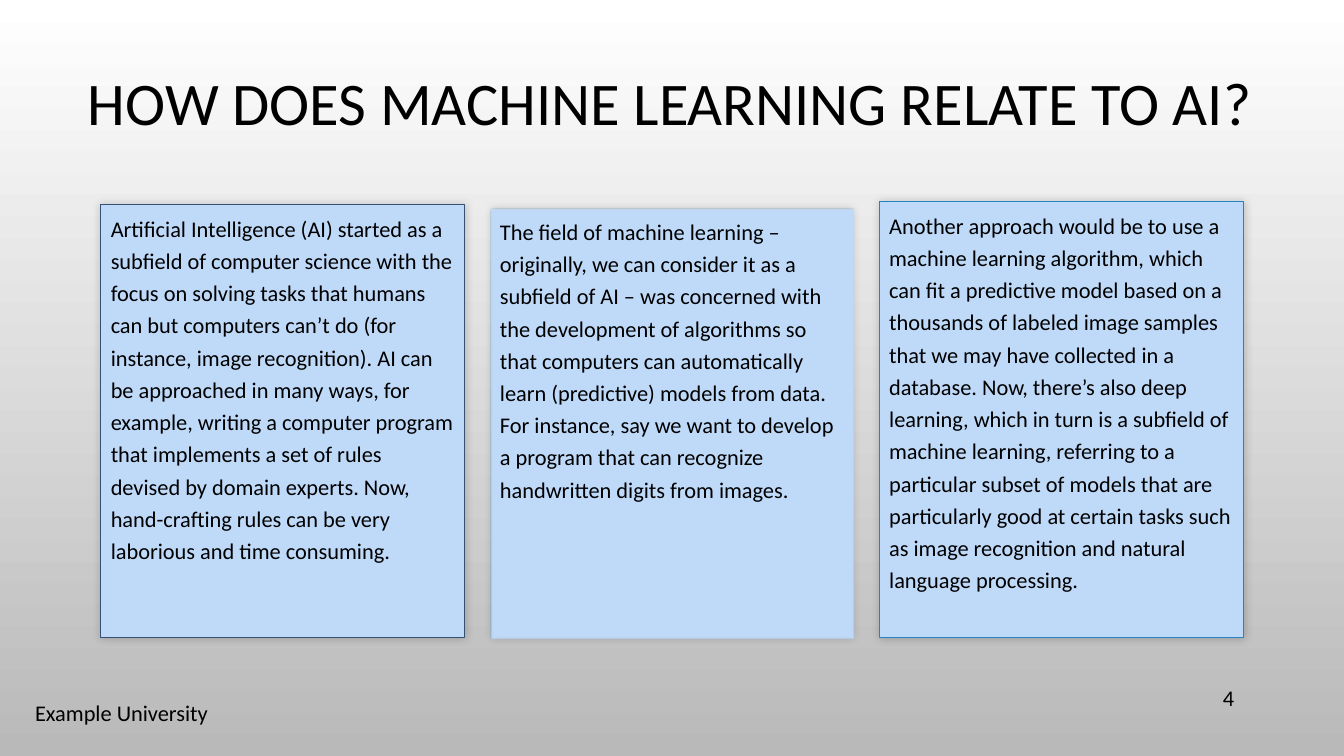
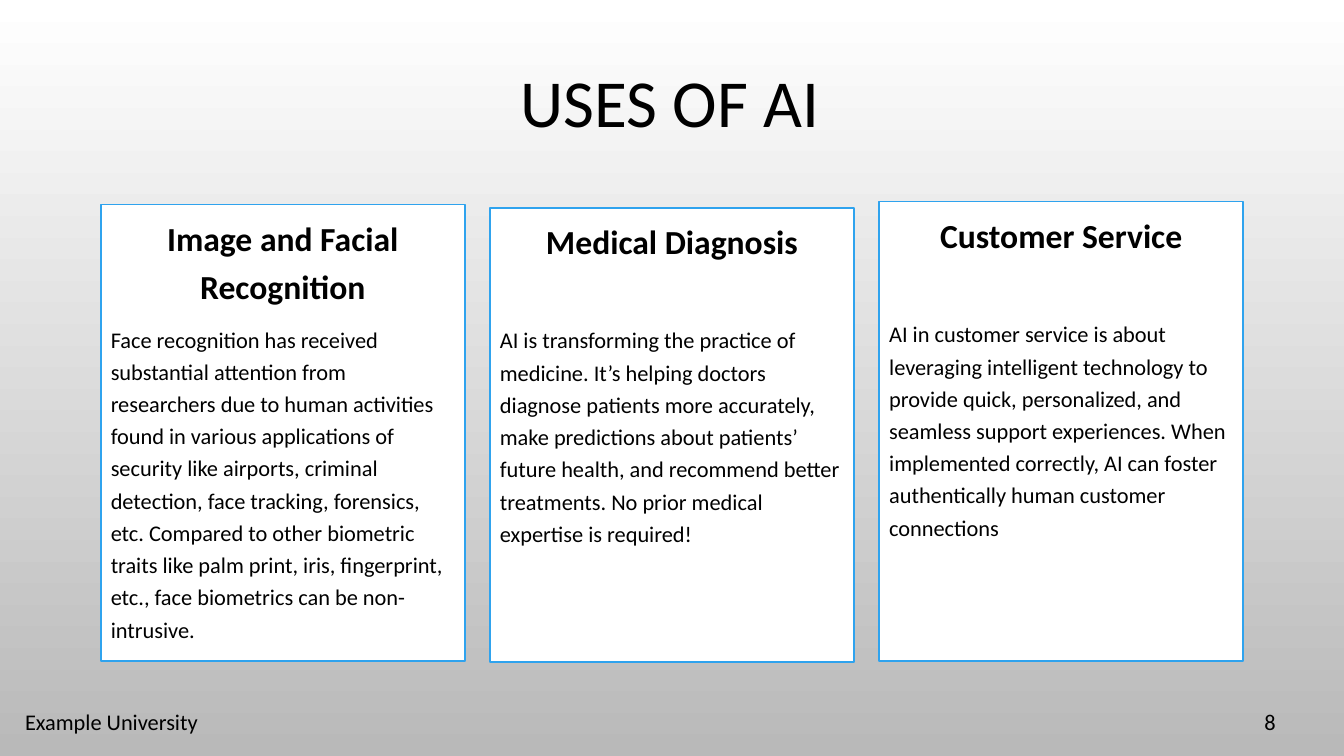
"""Build two three-column slides about machine learning and the uses of AI."""
from lxml.etree import SubElement
from pptx import Presentation
from pptx.dml.color import RGBColor
from pptx.enum.shapes import MSO_SHAPE
from pptx.enum.text import MSO_ANCHOR, PP_ALIGN
from pptx.oxml.ns import qn
from pptx.util import Inches, Pt

BLACK = RGBColor(0x00, 0x00, 0x00)
WHITE = RGBColor(0xFF, 0xFF, 0xFF)
GREY = RGBColor(0xB9, 0xB9, 0xB9)
PALE_BLUE = RGBColor(0xBF, 0xDA, 0xF9)
NAVY = RGBColor(0x35, 0x50, 0x71)
BLUE = RGBColor(0x26, 0x83, 0xBF)
SKY_BLUE = RGBColor(0x2F, 0xA3, 0xEE)
FONT = "Calibri"
FOOTER = "Example University"

COLUMN_LEFT, COLUMN_PITCH, COLUMN_WIDTH = 1, 3.86, 3.61
COLUMN_TOPS = (2.03, 2.06, 2)
BODY_FORMAT = {"alignment": PP_ALIGN.LEFT, "line_spacing": 1.2, "space_before": Pt(10)}
HEADING_FORMAT = {**BODY_FORMAT, "alignment": PP_ALIGN.CENTER}
LOWERED_FORMAT = {**BODY_FORMAT, "space_before": Pt(43)}
TITLE_FORMAT = {"alignment": PP_ALIGN.CENTER, "line_spacing": 0.9}

SLIDES = [
    {
        "title": "HOW DOES MACHINE LEARNING RELATE TO AI?",
        "title_size": 43.2,
        "fill": PALE_BLUE,
        "lines": (NAVY, BLUE, BLUE),
        "line_width": 0.75,
        "bottoms": (6.33, 6.34, 6.33),
        "shadow": True,
        "soft_column": 1,
        "columns": [
            (None, "Artificial Intelligence (AI) started as a subfield of computer science with the "
             "focus on solving tasks that humans can but computers can’t do (for instance, image "
             "recognition). AI can be approached in many ways, for example, writing a computer "
             "program that implements a set of rules devised by domain experts. Now, hand-crafting "
             "rules can be very laborious and time consuming.", BODY_FORMAT),
            (None, "The field of machine learning – originally, we can consider it as a subfield of "
             "AI – was concerned with the development of algorithms so that computers can "
             "automatically learn (predictive) models from data. For instance, say we want to "
             "develop a program that can recognize handwritten digits from images.", BODY_FORMAT),
            (None, "Another approach would be to use a machine learning algorithm, which can fit a "
             "predictive model based on a thousands of labeled image samples that we may have "
             "collected in a database. Now, there’s also deep learning, which in turn is a subfield "
             "of machine learning, referring to a particular subset of models that are particularly "
             "good at certain tasks such as image recognition and natural language processing.",
             BODY_FORMAT),
        ],
        "footer_at": (0.25, 6.87),
        "number": "4",
        "number_at": (11.5, 6.72),
    },
    {
        "title": "USES OF AI",
        "title_size": 48,
        "fill": WHITE,
        "lines": (SKY_BLUE, SKY_BLUE, SKY_BLUE),
        "line_width": 1.25,
        "bottoms": (6.56, 6.57, 6.56),
        "shadow": False,
        "soft_column": None,
        "columns": [
            ("Image and Facial Recognition", "Face recognition has received substantial attention "
             "from researchers due to human activities found in various applications of security "
             "like airports, criminal detection, face tracking, forensics, etc. Compared to other "
             "biometric traits like palm print, iris, fingerprint, etc., face biometrics can be "
             "non-intrusive.", BODY_FORMAT),
            ("Medical Diagnosis", "AI is transforming the practice of medicine. It’s helping doctors "
             "diagnose patients more accurately, make predictions about patients’ future health, "
             "and recommend better treatments. No prior medical expertise is required!",
             LOWERED_FORMAT),
            ("Customer Service", "AI in customer service is about leveraging intelligent technology "
             "to provide quick, personalized, and seamless support experiences. When implemented "
             "correctly, AI can foster authentically human customer connections", LOWERED_FORMAT),
        ],
        "footer_at": (0.15, 6.96),
        "number": "8",
        "number_at": (11.91, 6.96),
    },
]


def write(paragraph, text, size, paragraph_format, bold=False):
    for name, value in paragraph_format.items():
        setattr(paragraph, name, value)
    run = paragraph.add_run()
    run.text = text
    for name, value in {"name": FONT, "size": Pt(size), "bold": bold}.items():
        setattr(run.font, name, value)
    run.font.color.rgb = BLACK


def add_label(slide, at, text, size, paragraph_format):
    frame = slide.shapes.add_textbox(*map(Inches, at)).text_frame
    frame.word_wrap = True
    frame.vertical_anchor = MSO_ANCHOR.MIDDLE
    write(frame.paragraphs[0], text, size, paragraph_format)


presentation = Presentation()
presentation.slide_width = Inches(13.33)
presentation.slide_height = Inches(7.5)

for content in SLIDES:
    slide = presentation.slides.add_slide(presentation.slide_layouts[6])
    background = slide.background.fill
    background.gradient()
    background.gradient_angle = 270
    for stop, position, color in zip(background.gradient_stops, (0, 1), (WHITE, GREY)):
        stop.position = position
        stop.color.rgb = color

    add_label(slide, (0.53, 0.36, 12.23, 1.38), content["title"], content["title_size"], TITLE_FORMAT)

    for index, (heading, body, body_format) in enumerate(content["columns"]):
        top = COLUMN_TOPS[index]
        shape = slide.shapes.add_shape(
            MSO_SHAPE.RECTANGLE,
            Inches(COLUMN_LEFT + index * COLUMN_PITCH),
            Inches(top),
            Inches(COLUMN_WIDTH),
            Inches(content["bottoms"][index] - top),
        )
        shape.fill.solid()
        shape.fill.fore_color.rgb = content["fill"]
        shape.line.color.rgb = content["lines"][index]
        shape.line.width = Pt(content["line_width"])
        shape.shadow.inherit = False
        effects = shape.element.spPr.find(qn("a:effectLst"))
        if content["shadow"]:
            shadow = SubElement(effects, qn("a:outerShdw"), blurRad=str(Pt(6)), dist="0",
                                dir="18900000", rotWithShape="0")
            shadow_color = SubElement(shadow, qn("a:srgbClr"), val=str(BLACK))
            SubElement(shadow_color, qn("a:alpha"), val="20000")
        if index == content["soft_column"]:
            SubElement(effects, qn("a:softEdge"), rad=str(Pt(1)))

        frame = shape.text_frame
        frame.word_wrap = True
        frame.vertical_anchor = MSO_ANCHOR.TOP
        paragraph = frame.paragraphs[0]
        if heading:
            write(paragraph, heading, 24, HEADING_FORMAT, bold=True)
            paragraph = frame.add_paragraph()
        write(paragraph, body, 16, body_format)

    add_label(slide, (*content["footer_at"], 7.3, 0.4), FOOTER, 16,
              {"alignment": PP_ALIGN.LEFT})
    add_label(slide, (*content["number_at"], 0.84, 0.4), content["number"], 16,
              {"alignment": PP_ALIGN.RIGHT})

presentation.save("out.pptx")
